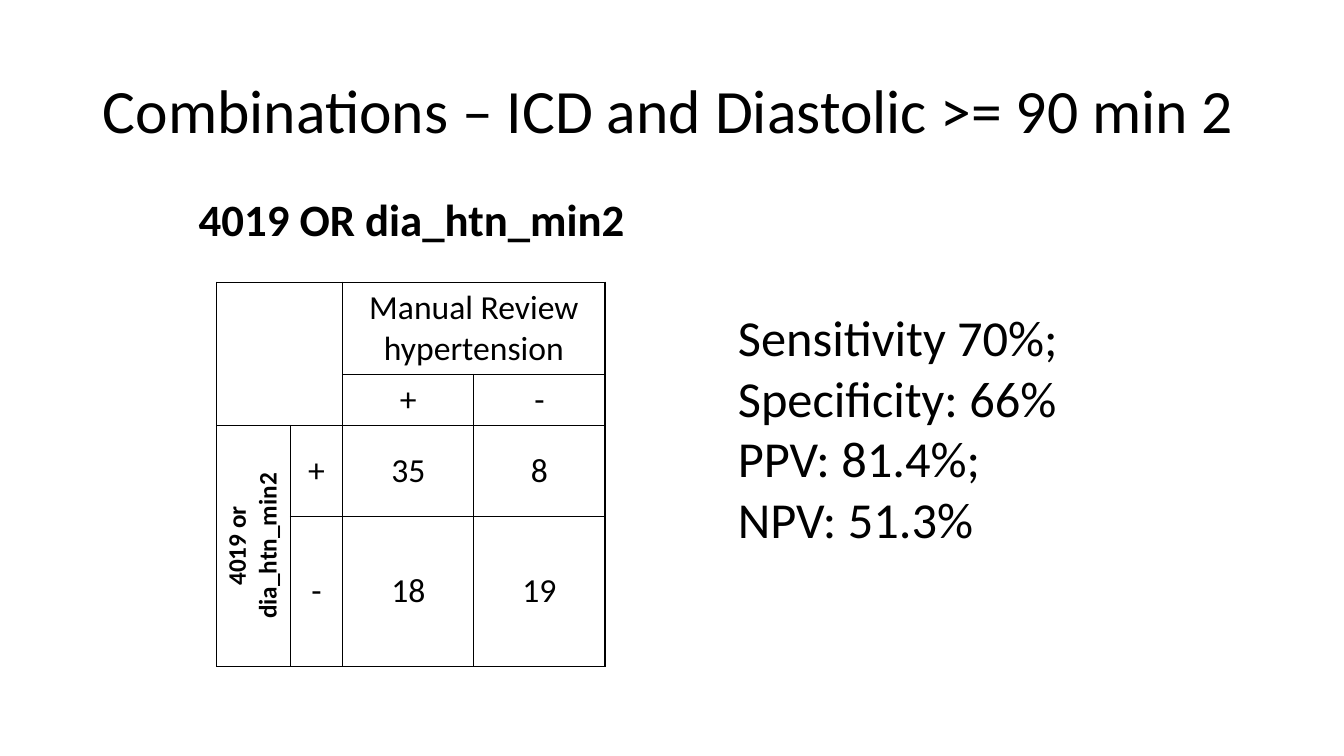
from dataclasses import dataclass

from lxml import etree
from pptx import Presentation
from pptx.dml.color import RGBColor
from pptx.enum.text import MSO_ANCHOR, MSO_AUTO_SIZE, PP_ALIGN
from pptx.oxml.ns import qn
from pptx.util import Inches, Pt

BLACK = RGBColor(0, 0, 0)
FONT = "Calibri"
LEFT, CENTER = PP_ALIGN.LEFT, PP_ALIGN.CENTER
TOP, MIDDLE = MSO_ANCHOR.TOP, MSO_ANCHOR.MIDDLE
NO_FIT, GROW = MSO_AUTO_SIZE.NONE, MSO_AUTO_SIZE.SHAPE_TO_FIT_TEXT
TITLE_ONLY = 5

COLUMN_WIDTHS = (0.73, 0.52, 1.3, 1.3)
ROW_HEIGHTS = (0.41, 0.41, 0.9, 0.9)


@dataclass(frozen=True)
class Box:
    left: float
    top: float
    width: float
    height: float

    def lengths(self) -> tuple:
        return tuple(Inches(n) for n in (self.left, self.top, self.width, self.height))


@dataclass(frozen=True)
class TableCell:
    row: int
    column: int
    text: str = ""
    row_span: int = 1
    column_span: int = 1
    size: int = 24
    bold: bool = False
    anchor: MSO_ANCHOR = MIDDLE
    vertical: bool = False


@dataclass(frozen=True)
class Label:
    box: Box
    lines: tuple
    size: int
    bold: bool = False
    wrap: bool = True
    alignment: PP_ALIGN = LEFT


TITLE_BOX = Box(0.92, 0.4, 11.5, 1.45)
TABLE_BOX = Box(2.15, 2.8, 3.86, 3.2)
CELLS = (
    TableCell(0, 0, row_span=2, column_span=2, anchor=TOP),
    TableCell(0, 2, "Manual Review hypertension", column_span=2, anchor=TOP),
    TableCell(1, 2, "+"),
    TableCell(1, 3, "-"),
    TableCell(2, 0, "4019 or dia_htn_min2", row_span=2, size=18, bold=True, vertical=True),
    TableCell(2, 1, "+"),
    TableCell(2, 2, "35"),
    TableCell(2, 3, "8"),
    TableCell(3, 1, "-"),
    TableCell(3, 2, "18"),
    TableCell(3, 3, "19"),
)
LABELS = (
    Label(Box(7.22, 2.99, 3.49, 2.52),
          ("Sensitivity 70%; Specificity: 66%", "PPV: 81.4%; NPV: 51.3%"), 36),
    Label(Box(1.85, 1.85, 4.47, 0.64), ("4019 OR dia_htn_min2",), 32,
          bold=True, wrap=False, alignment=CENTER),
)


def write_text(text_frame, lines: tuple, size: int, bold: bool, alignment: PP_ALIGN) -> None:
    font_format = {"name": FONT, "size": Pt(size), "bold": bold}
    text_frame.text = "\n".join(lines)
    for paragraph in text_frame.paragraphs:
        paragraph.alignment = alignment
        for attribute, value in font_format.items():
            setattr(paragraph.font, attribute, value)
            for run in paragraph.runs:
                setattr(run.font, attribute, value)
        for run in paragraph.runs:
            run.font.color.rgb = BLACK


def add_borders(cell) -> None:
    """Draw a thin black line on each side of the cell and clear its fill."""
    cell.fill.background()
    properties = cell._tc.get_or_add_tcPr()
    for position, side in enumerate(("lnL", "lnR", "lnT", "lnB")):
        line = etree.Element(qn(f"a:{side}"), w=str(Pt(1)))
        fill = etree.SubElement(line, qn("a:solidFill"))
        etree.SubElement(fill, qn("a:srgbClr"), val=str(BLACK))
        properties.insert(position, line)


def add_title(slide) -> None:
    title = slide.shapes.title
    title.left, title.top, title.width, title.height = TITLE_BOX.lengths()
    frame_format = {"vertical_anchor": MIDDLE, "word_wrap": True, "auto_size": NO_FIT}
    for attribute, value in frame_format.items():
        setattr(title.text_frame, attribute, value)
    write_text(title.text_frame, ("Combinations – ICD and Diastolic >= 90 min 2",),
               44, False, LEFT)
    title.text_frame.paragraphs[0].line_spacing = 0.9


def add_review_table(slide) -> None:
    frame = slide.shapes.add_table(len(ROW_HEIGHTS), len(COLUMN_WIDTHS), *TABLE_BOX.lengths())
    table = frame.table
    table.first_row = table.horz_banding = False
    for column, width in zip(table.columns, COLUMN_WIDTHS):
        column.width = Inches(width)
    for row, height in zip(table.rows, ROW_HEIGHTS):
        row.height = Inches(height)
    frame.height = Inches(TABLE_BOX.height)
    for cell in table.iter_cells():
        add_borders(cell)
    for item in CELLS:
        cell = table.cell(item.row, item.column)
        if item.row_span * item.column_span > 1:
            cell.merge(table.cell(item.row + item.row_span - 1,
                                  item.column + item.column_span - 1))
        cell.vertical_anchor = item.anchor
        if item.vertical:
            cell._tc.get_or_add_tcPr().set("vert", "vert270")
        if item.text:
            write_text(cell.text_frame, (item.text,), item.size, item.bold, CENTER)


def add_label(slide, label: Label) -> None:
    text_frame = slide.shapes.add_textbox(*label.box.lengths()).text_frame
    text_frame.word_wrap = label.wrap
    text_frame.auto_size = GROW
    write_text(text_frame, label.lines, label.size, label.bold, label.alignment)


def main() -> None:
    presentation = Presentation()
    presentation.slide_width, presentation.slide_height = Inches(13.33), Inches(7.5)
    slide = presentation.slides.add_slide(presentation.slide_layouts[TITLE_ONLY])
    add_title(slide)
    add_review_table(slide)
    for label in LABELS:
        add_label(slide, label)
    presentation.save("out.pptx")


if __name__ == "__main__":
    main()
